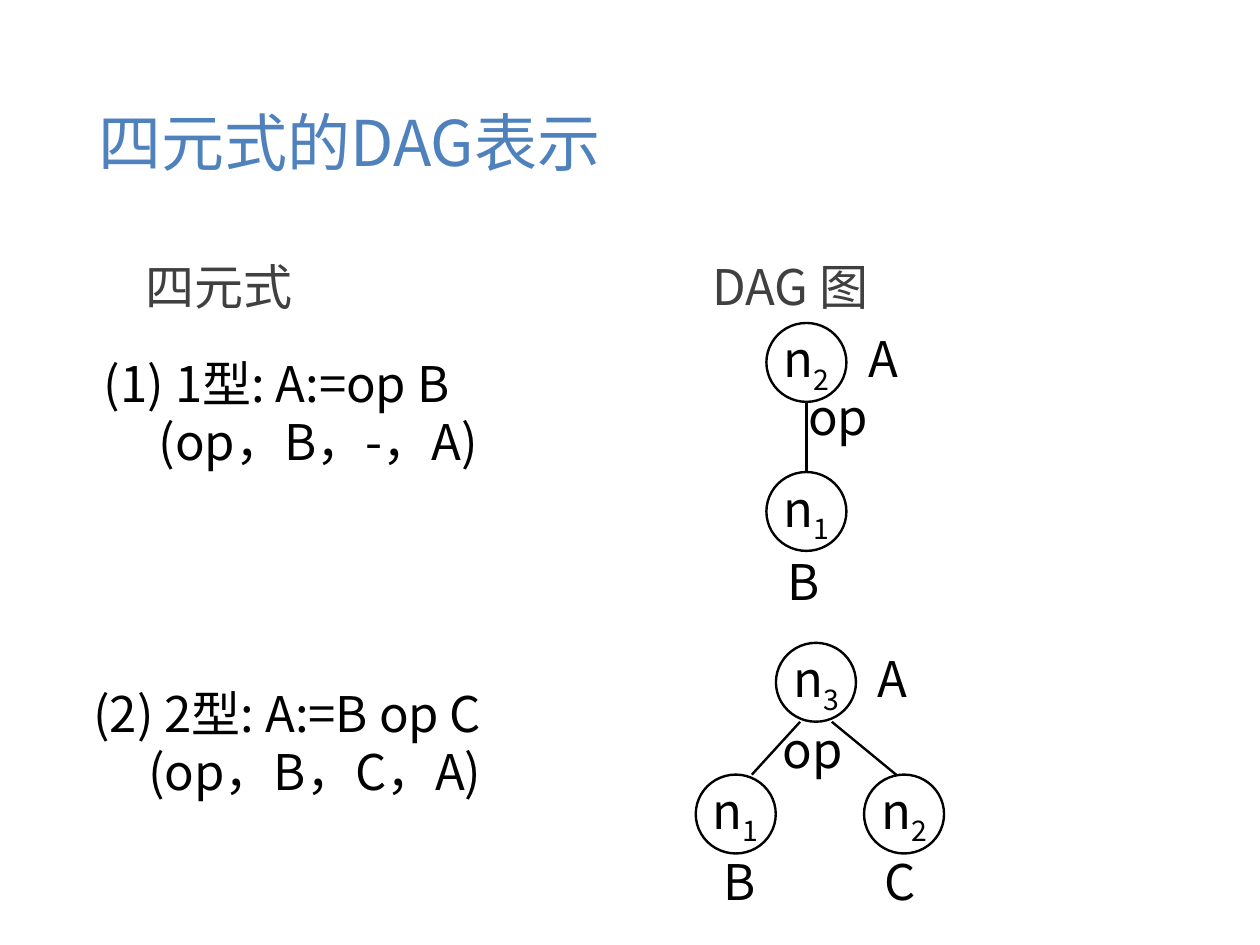
from dataclasses import dataclass

from lxml import etree
from pptx import Presentation
from pptx.dml.color import RGBColor
from pptx.enum.shapes import MSO_CONNECTOR, MSO_SHAPE
from pptx.enum.text import MSO_ANCHOR, PP_ALIGN
from pptx.oxml.ns import qn
from pptx.util import Pt

STRAIGHT = MSO_CONNECTOR.STRAIGHT
OVAL = MSO_SHAPE.OVAL
MIDDLE = MSO_ANCHOR.MIDDLE
LEFT, CENTER = PP_ALIGN.LEFT, PP_ALIGN.CENTER
BOTTOM_SITE, TOP_SITE = 2, 0


@dataclass(frozen=True)
class Theme:
    font: str = "Noto Sans CJK SC"
    title: RGBColor = RGBColor(0x4F, 0x81, 0xBD)
    heading: RGBColor = RGBColor(0x40, 0x40, 0x40)
    ink: RGBColor = RGBColor(0, 0, 0)
    title_size: float = 39.7
    text_size: float = 30.9
    line_pitch: float = 36.5
    line_width: float = 1.5
    node_width: float = 50.4
    node_height: float = 49.7
    label_size: float = 45


THEME = Theme()


def add_run(paragraph, text, color=THEME.ink, size=THEME.text_size, subscript=False):
    run = paragraph.add_run()
    run.text = text
    run.font.size = Pt(size)
    run.font.color.rgb = color
    run.font.name = THEME.font
    properties = run.font._element
    etree.SubElement(properties, qn("a:ea")).set("typeface", THEME.font)
    if subscript:
        properties.set("baseline", "-25000")


def add_title(slide, text):
    title = slide.shapes.title
    title.left, title.top, title.width, title.height = Pt(54.7), Pt(31.2), Pt(684.7), Pt(115.2)
    title.text_frame.vertical_anchor = MIDDLE
    paragraph = title.text_frame.paragraphs[0]
    paragraph.alignment = LEFT
    add_run(paragraph, text, THEME.title, THEME.title_size)


def add_text(slide, left, top, width, height, lines, color=THEME.ink, indent=34.6):
    frame = slide.shapes.add_textbox(Pt(left), Pt(top), Pt(width), Pt(height)).text_frame
    frame.word_wrap = True
    for index, line in enumerate(lines):
        paragraph = frame.add_paragraph() if index else frame.paragraphs[0]
        paragraph.line_spacing = Pt(THEME.line_pitch)
        if index:
            paragraph._p.get_or_add_pPr().set("marL", str(Pt(indent)))
        add_run(paragraph, line, color)


def center_text(shape):
    frame = shape.text_frame
    frame.word_wrap = False
    frame.vertical_anchor = MIDDLE
    frame.margin_left = frame.margin_right = Pt(0)
    paragraph = frame.paragraphs[0]
    paragraph.alignment = CENTER
    return paragraph


def add_node(graph, center_x, center_y, number):
    width, height = THEME.node_width, THEME.node_height
    node = graph.shapes.add_shape(
        OVAL, Pt(center_x - width / 2), Pt(center_y - height / 2), Pt(width), Pt(height))
    node.shadow.inherit = False
    node.fill.background()
    node.line.color.rgb = THEME.ink
    node.line.width = Pt(THEME.line_width)
    paragraph = center_text(node)
    add_run(paragraph, "n")
    add_run(paragraph, number, subscript=True)
    return node


def add_label(graph, center_x, center_y, text):
    size = THEME.label_size
    label = graph.shapes.add_textbox(
        Pt(center_x - size / 2), Pt(center_y - size / 2), Pt(size), Pt(size))
    add_run(center_text(label), text)


def add_edge(graph, start, end):
    edge = graph.shapes.add_connector(STRAIGHT, *(Pt(value) for value in start + end))
    edge.line.color.rgb = THEME.ink
    edge.line.width = Pt(THEME.line_width)
    etree.SubElement(edge._element.spPr, qn("a:effectLst"))
    return edge


def add_unary_graph(slide):
    graph = slide.shapes.add_group_shape()
    parent = add_node(graph, 508, 228.3, "2")
    child = add_node(graph, 508, 322.2, "1")
    edge = add_edge(graph, (508, 253.15), (508, 297.35))
    edge.begin_connect(parent, BOTTOM_SITE)
    edge.end_connect(child, TOP_SITE)
    for center_x, center_y, text in ((556.2, 225.6, "A"), (528.1, 262.1, "op"), (506.5, 365.8, "B")):
        add_label(graph, center_x, center_y, text)


def add_binary_graph(slide):
    graph = slide.shapes.add_group_shape()
    for center_x, center_y, number in ((514, 429.8, "3"), (463.5, 512.8, "1"), (569.5, 512.8, "2")):
        add_node(graph, center_x, center_y, number)
    for start_x, end_x in ((504, 473.6), (524, 564.5)):
        add_edge(graph, (start_x, 454.7), (end_x, 488))
    for center_x, center_y, text in (
            (562, 427, "A"), (511.9, 471.6, "op"), (465.8, 554.8, "B"), (567, 554.8, "C")):
        add_label(graph, center_x, center_y, text)


def main():
    presentation = Presentation()
    presentation.slide_width, presentation.slide_height = Pt(793.7), Pt(595.28)
    slide = presentation.slides.add_slide(presentation.slide_layouts[5])
    add_title(slide, "四元式的DAG表示")
    add_text(slide, 84.6, 158.4, 200, 48, ["四元式"], THEME.heading)
    add_text(slide, 441.6, 158.4, 200, 48, ["DAG 图"], THEME.heading)
    add_text(slide, 58.3, 219.9, 311, 112.3, ["(1) 1型: A:=op B", "(op，B，-，A)"])
    add_text(slide, 51.8, 427.7, 321.8, 112.3, ["(2) 2型: A:=B op C", "(op，B，C，A)"])
    add_unary_graph(slide)
    add_binary_graph(slide)
    presentation.save("out.pptx")


if __name__ == "__main__":
    main()
